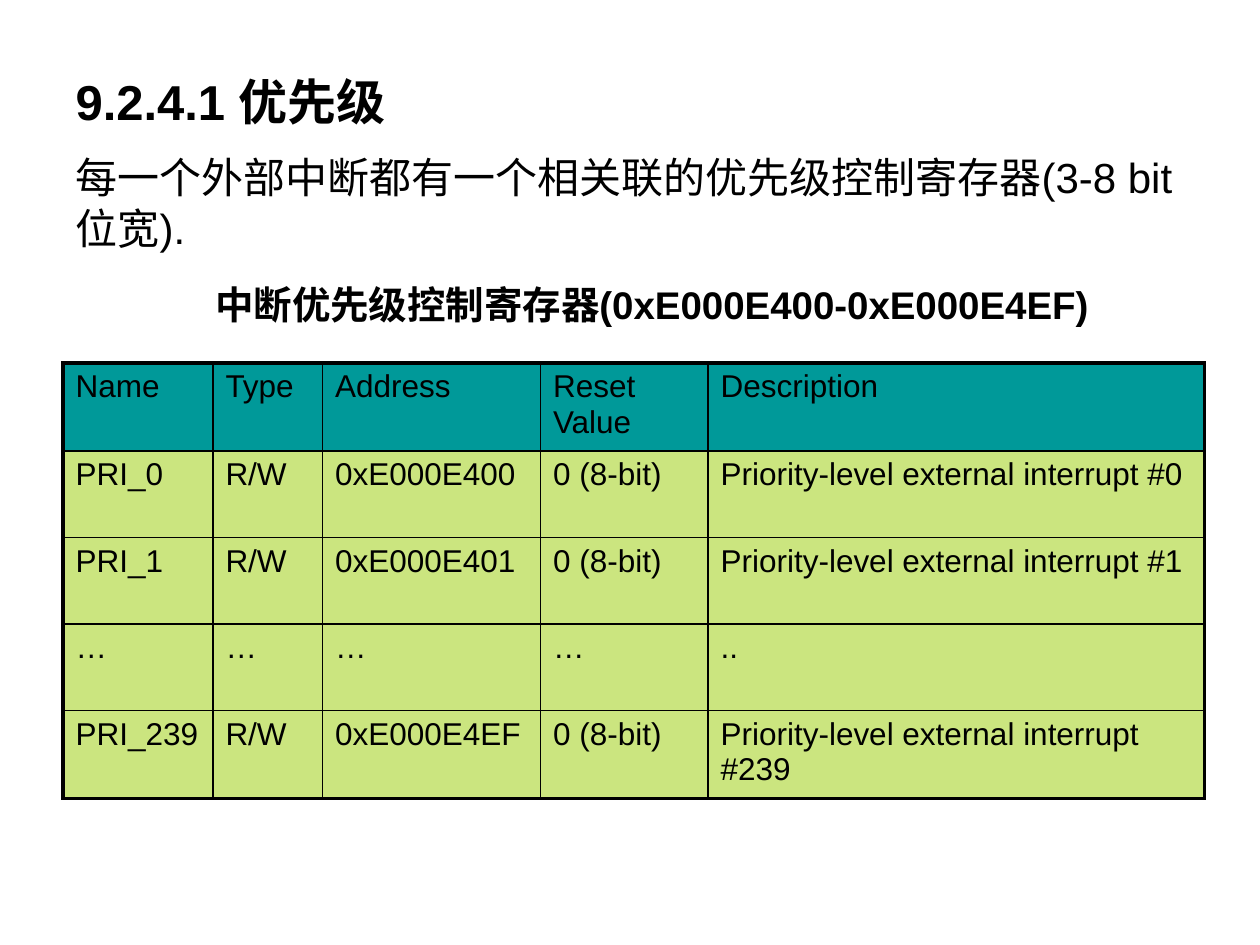
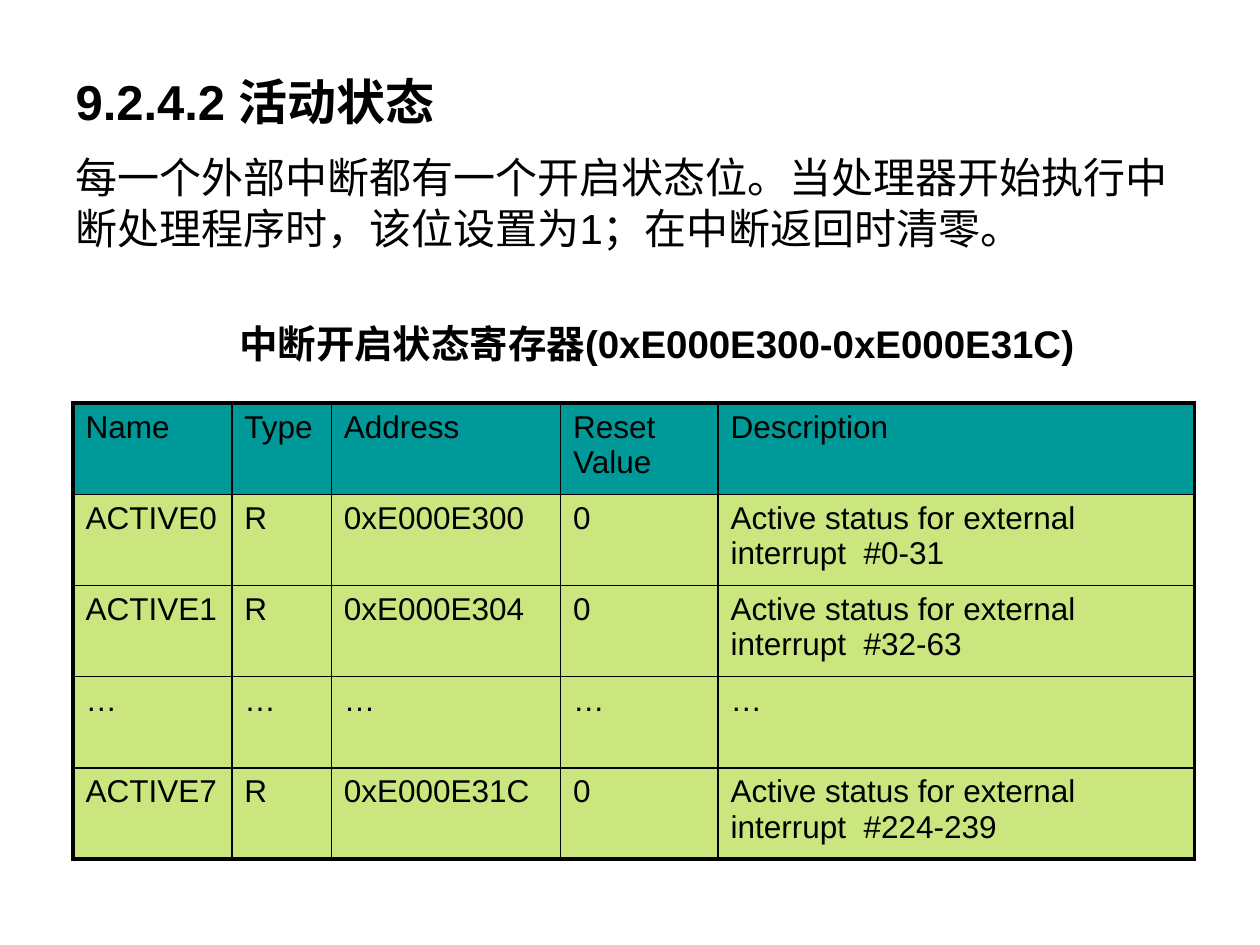
from dataclasses import dataclass

from lxml import etree
from pptx import Presentation
from pptx import util as u
from pptx.dml.color import RGBColor
from pptx.enum import text
from pptx.oxml import ns


@dataclass(frozen=True)
class Theme:
    """Colours, type sizes and line widths shared by the slides."""
    font: str = "Arial"
    ink: str = "000000"
    header_fill: str = "009999"
    body_fill: str = "99CC00"
    body_opacity: int = 50
    heading: int = 28
    body: int = 24
    caption: int = 22
    cell: int = 18
    outer: float = 2.25
    inner: float = 1


THEME = Theme()
HEADER = ("Name", "Type", "Address", "Reset Value", "Description")


def style(p, size, bold=False):
    """Set the font of a whole paragraph."""
    p.font.name = THEME.font
    p.font.size = u.Pt(size)
    p.font.bold = bold
    p.font.color.rgb = RGBColor.from_string(THEME.ink)


def add_intro(s, heading, body, height):
    """Put the section heading and its explanation in the body placeholder."""
    title = s.shapes.title._element
    title.getparent().remove(title)
    sp = s.placeholders[1]
    sp.left, sp.top = u.Inches(0.5), u.Inches(0.52)
    sp.width, sp.height = u.Inches(9), u.Inches(height)
    tf = sp.text_frame
    tf.auto_size = text.MSO_AUTO_SIZE.NONE
    tf.text = f"{heading}\n{body}"
    first, second = tf.paragraphs
    style(first, THEME.heading, bold=True)
    style(second, THEME.body)
    first.space_before = u.Pt(0)
    second.space_before = u.Pt(THEME.body / 2)
    for p in tf.paragraphs:
        pPr = p._p.get_or_add_pPr()
        pPr.set("marL", "0")
        pPr.set("indent", "0")
        pPr.insert_element_before(
            pPr.makeelement(ns.qn("a:buNone")), "a:tabLst", "a:defRPr", "a:extLst")


def add_caption(s, caption, left, top, width):
    """Add the bold one-line caption above a table."""
    sp = s.shapes.add_textbox(
        u.Inches(left), u.Inches(top), u.Inches(width), u.Inches(0.47))
    tf = sp.text_frame
    tf.word_wrap = False
    tf.auto_size = text.MSO_AUTO_SIZE.SHAPE_TO_FIT_TEXT
    p = tf.paragraphs[0]
    p.text = caption
    style(p, THEME.caption, bold=True)


def set_borders(cell, widths):
    """Draw the cell's borders, given as a map from side to points."""
    tcPr = cell._tc.get_or_add_tcPr()
    for i, side in enumerate("LRTB"):
        ln = etree.Element(ns.qn(f"a:ln{side}"), w=str(u.Pt(widths[side])))
        fill = etree.SubElement(ln, ns.qn("a:solidFill"))
        etree.SubElement(fill, ns.qn("a:srgbClr"), val=THEME.ink)
        tcPr.insert(i, ln)


def fill_cell(cell, colour, opacity=100):
    """Fill a cell, optionally letting the background through."""
    cell.fill.solid()
    cell.fill.fore_color.rgb = RGBColor.from_string(colour)
    if opacity < 100:
        clr = cell._tc.tcPr.find(".//" + ns.qn("a:srgbClr"))
        etree.SubElement(clr, ns.qn("a:alpha"), val=str(opacity * 1000))


def add_register_table(s, records, left, top, height, widths):
    """Add a register table with a header row and a heavy outer frame."""
    rows = [HEADER, *records]
    n_rows, n_cols = len(rows), len(HEADER)
    table = s.shapes.add_table(
        n_rows, n_cols, u.Inches(left), u.Inches(top),
        u.Inches(sum(widths)), u.Inches(height)).table
    table.horz_banding = False
    for column, width in zip(table.columns, widths):
        column.width = u.Inches(width)
    for i, values in enumerate(rows):
        for j, value in enumerate(values):
            cell = table.cell(i, j)
            p = cell.text_frame.paragraphs[0]
            p.text = value
            style(p, THEME.cell)
            if i == 0:
                fill_cell(cell, THEME.header_fill)
            else:
                fill_cell(cell, THEME.body_fill, THEME.body_opacity)
            on_edge = {"L": j == 0, "R": j == n_cols - 1,
                       "T": i == 0, "B": i == n_rows - 1}
            set_borders(cell, {side: THEME.outer if edge else THEME.inner
                               for side, edge in on_edge.items()})


def add_priority_slide(prs):
    """Section 9.2.4.1: priority registers."""
    s = prs.slides.add_slide(prs.slide_layouts[1])
    add_intro(s, "9.2.4.1 优先级",
              "每一个外部中断都有一个相关联的优先级控制寄存器(3-8 bit位宽).", 1.5)
    add_caption(s, "中断优先级控制寄存器(0xE000E400-0xE000E4EF)", 1.61, 2.18, 7.24)
    reset, level = "0 (8-bit)", "Priority-level external interrupt #"
    add_register_table(s, [
        ("PRI_0", "R/W", "0xE000E400", reset, level + "0"),
        ("PRI_1", "R/W", "0xE000E401", reset, level + "1"),
        ("…", "…", "…", "…", ".."),
        ("PRI_239", "R/W", "0xE000E4EF", reset, level + "239"),
    ], 0.5, 2.88, 3.43, (1.19, 0.87, 1.73, 1.33, 3.94))


def add_active_slide(prs):
    """Section 9.2.4.2: active status registers."""
    s = prs.slides.add_slide(prs.slide_layouts[1])
    add_intro(s, "9.2.4.2 活动状态",
              "每一个外部中断都有一个开启状态位。当处理器开始执行中断处理程序时，"
              "该位设置为1；在中断返回时清零。", 1.73)
    add_caption(s, "中断开启状态寄存器(0xE000E300-0xE000E31C)", 1.8, 2.49, 6.92)
    status = "Active status for external interrupt  #"
    add_register_table(s, [
        ("ACTIVE0", "R", "0xE000E300", "0", status + "0-31"),
        ("ACTIVE1", "R", "0xE000E304", "0", status + "32-63"),
        ("…",) * len(HEADER),
        ("ACTIVE7", "R", "0xE000E31C", "0", status + "224-239"),
    ], 0.58, 3.2, 3.62, (1.26, 0.79, 1.82, 1.25, 3.78))


def main():
    """Build and save the presentation."""
    prs = Presentation()
    prs.slide_width, prs.slide_height = u.Inches(10), u.Inches(7.5)
    add_priority_slide(prs)
    add_active_slide(prs)
    prs.save("out.pptx")


main()
